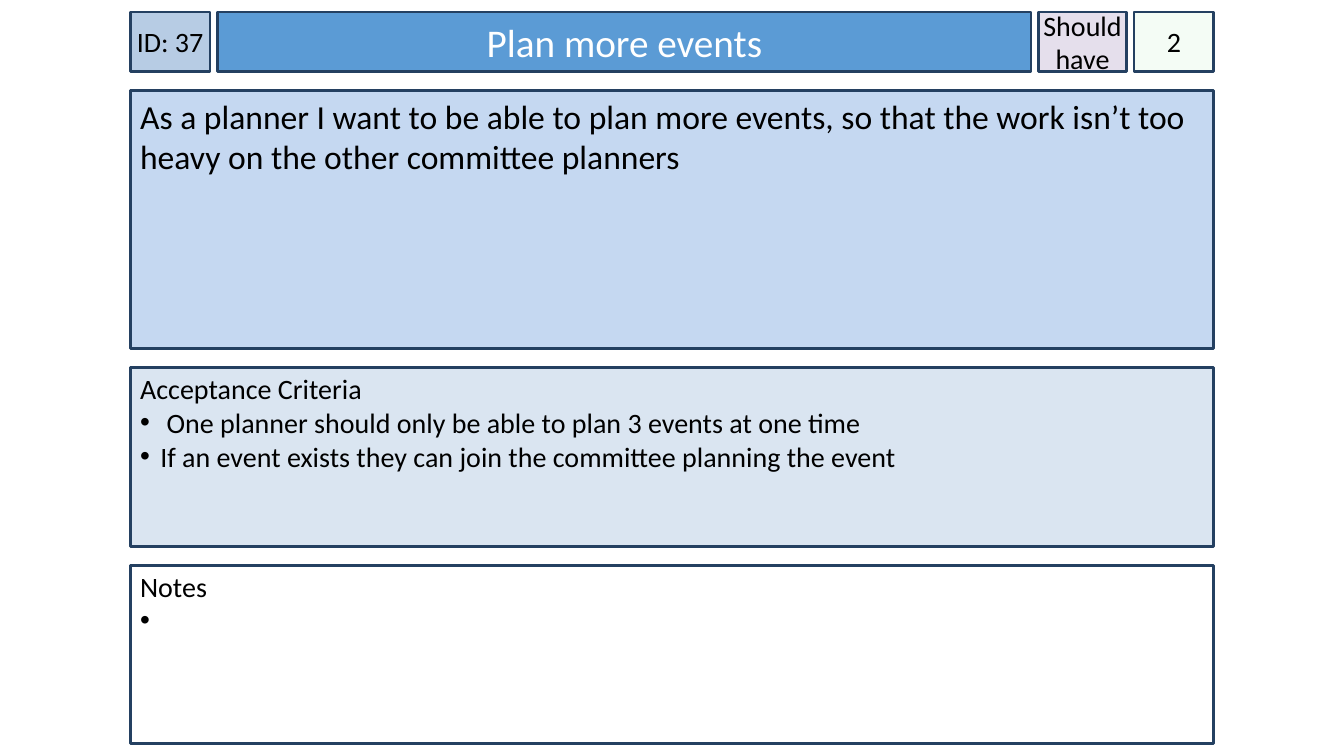
from dataclasses import dataclass

from lxml.etree import SubElement
from pptx import Presentation
from pptx.dml.color import RGBColor
from pptx.enum.shapes import MSO_SHAPE
from pptx.enum.text import MSO_ANCHOR, PP_ALIGN
from pptx.oxml.ns import qn
from pptx.util import Pt


@dataclass(frozen=True)
class Theme:
    font: str = "Calibri"
    title_size: int = 28
    story_size: int = 24
    body_size: int = 20
    text: str = "000000"
    title_text: str = "FFFFFF"
    border: str = "244061"
    id_fill: str = "B7CCE4"
    title_fill: str = "5B9BD5"
    priority_fill: str = "E5DFEC"
    points_fill: str = "CCF0CD"
    story_fill: str = "C5D8F1"
    criteria_fill: str = "DAE5F1"
    remarks_fill: str = "FFFFFF"


THEME = Theme()
CARD_LEFT, CARD_TOP, CARD_WIDTH = 93, 8.6, 774
HEADER_HEIGHT = 42.5
HEADER_GAP, PANEL_GAP = 5.5, 13.7
BULLET_INDENT = 14.4


def add_box(slide, left, top, width, height, fill, margins):
    """Add a bordered rectangle; margins are (side, top)."""
    box = slide.shapes.add_shape(
        MSO_SHAPE.RECTANGLE, Pt(left), Pt(top), Pt(width), Pt(height))
    box.shadow.inherit = False
    box.fill.solid()
    box.fill.fore_color.rgb = RGBColor.from_string(fill)
    box.line.color.rgb = RGBColor.from_string(THEME.border)
    box.line.width = Pt(2)
    frame = box.text_frame
    frame.word_wrap = True
    side, upper = margins
    frame.margin_left = frame.margin_right = Pt(side)
    frame.margin_top, frame.margin_bottom = Pt(upper), Pt(3.6)
    return box


def write(paragraph, text, size, color, align=PP_ALIGN.LEFT):
    paragraph.text = text
    paragraph.alignment = align
    for run in paragraph.runs:
        run.font.name = THEME.font
        run.font.size = Pt(size)
        run.font.color.rgb = RGBColor.from_string(color)


def add_bullet(paragraph):
    properties = paragraph._p.get_or_add_pPr()
    properties.set("marL", str(Pt(BULLET_INDENT)))
    properties.set("indent", str(-Pt(BULLET_INDENT)))
    bullet_color = SubElement(properties, qn("a:buClr"))
    SubElement(bullet_color, qn("a:srgbClr"), val=THEME.text)
    SubElement(properties, qn("a:buFont"), typeface="Arial")
    SubElement(properties, qn("a:buChar"), char="•")


def set_opacity(shape, percent):
    color = shape._element.spPr.find(qn("a:solidFill"))[0]
    SubElement(color, qn("a:alpha"), val=str(percent * 1000))


def add_header_cell(slide, left, width, text, fill,
                    size=THEME.body_size, color=THEME.text, side=0):
    cell = add_box(slide, left, CARD_TOP, width, HEADER_HEIGHT, fill, (side, 3.6))
    cell.text_frame.vertical_anchor = MSO_ANCHOR.MIDDLE
    write(cell.text_frame.paragraphs[0], text, size, color, PP_ALIGN.CENTER)
    return cell


def add_panel(slide, top, height, heading, fill, bullets=(),
              size=THEME.body_size, upper=2.9):
    panel = add_box(slide, CARD_LEFT, top, CARD_WIDTH, height, fill, (7.2, upper))
    frame = panel.text_frame
    frame.vertical_anchor = MSO_ANCHOR.TOP
    write(frame.paragraphs[0], heading, size, THEME.text)
    for bullet in bullets:
        paragraph = frame.add_paragraph()
        add_bullet(paragraph)
        write(paragraph, bullet, size, THEME.text)


def add_header(slide):
    title_style = {"size": THEME.title_size, "color": THEME.title_text, "side": 7.2}
    cells = [
        (57, "ID: 37", THEME.id_fill, {}),
        (581, "Plan more events", THEME.title_fill, title_style),
        (62.5, "Should have", THEME.priority_fill, {}),
        (57, "2", THEME.points_fill, {}),
    ]
    left = CARD_LEFT
    for width, text, fill, style in cells:
        cell = add_header_cell(slide, left, width, text, fill, **style)
        left += width + HEADER_GAP
    story_points = cell
    set_opacity(story_points, 20)


def add_panels(slide):
    story = ("As a planner I want to be able to plan more events, so that the work "
             "isn’t too heavy on the other committee planners")
    criteria = [
        " One planner should only be able to plan 3 events at one time",
        "If an event exists they can join the committee planning the event",
    ]
    panels = [
        (184.3, story, THEME.story_fill, {"size": THEME.story_size, "upper": 3.6}),
        (127.4, "Acceptance Criteria", THEME.criteria_fill, {"bullets": criteria}),
        (127.4, "Notes", THEME.remarks_fill, {"bullets": [" "]}),
    ]
    top = CARD_TOP + HEADER_HEIGHT + PANEL_GAP
    for height, heading, fill, style in panels:
        add_panel(slide, top, height, heading, fill, **style)
        top += height + PANEL_GAP


def main():
    deck = Presentation()
    deck.slide_width, deck.slide_height = Pt(960), Pt(540)
    slide = deck.slides.add_slide(deck.slide_layouts[6])
    add_header(slide)
    add_panels(slide)
    deck.save("out.pptx")


if __name__ == "__main__":
    main()
